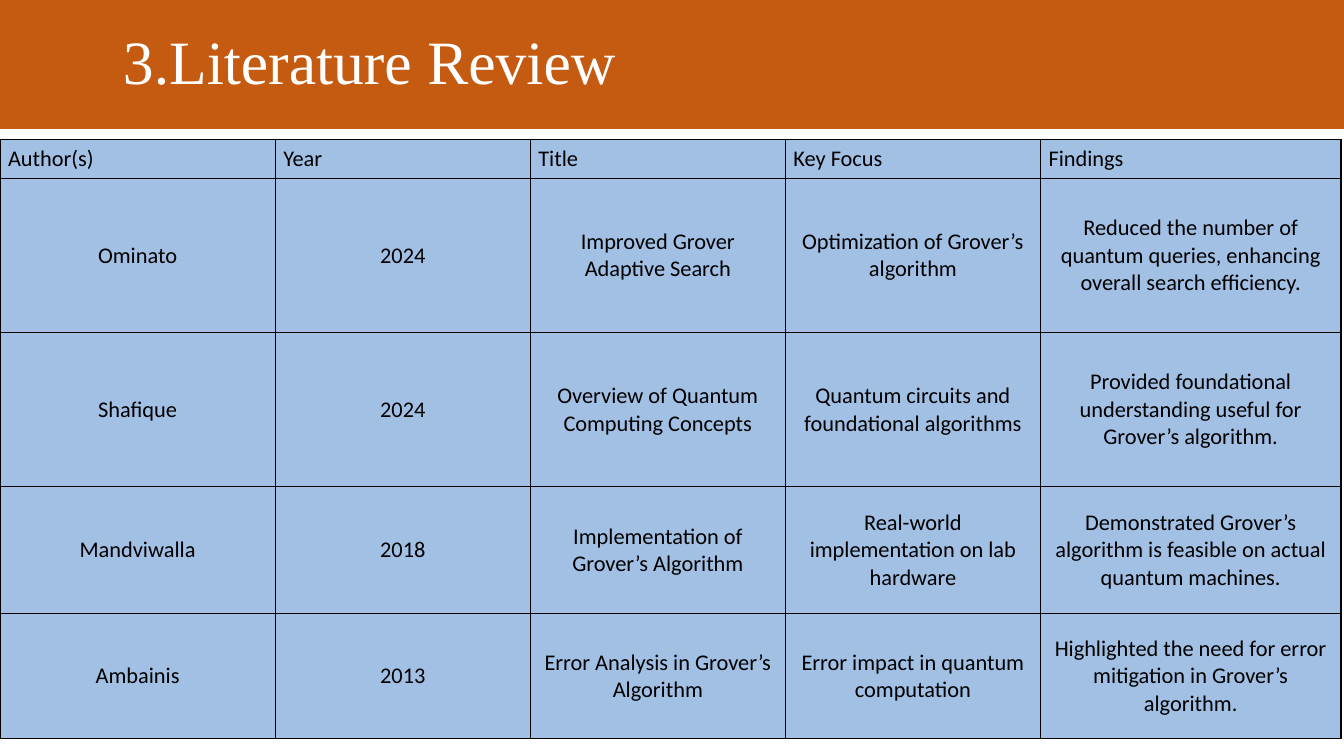
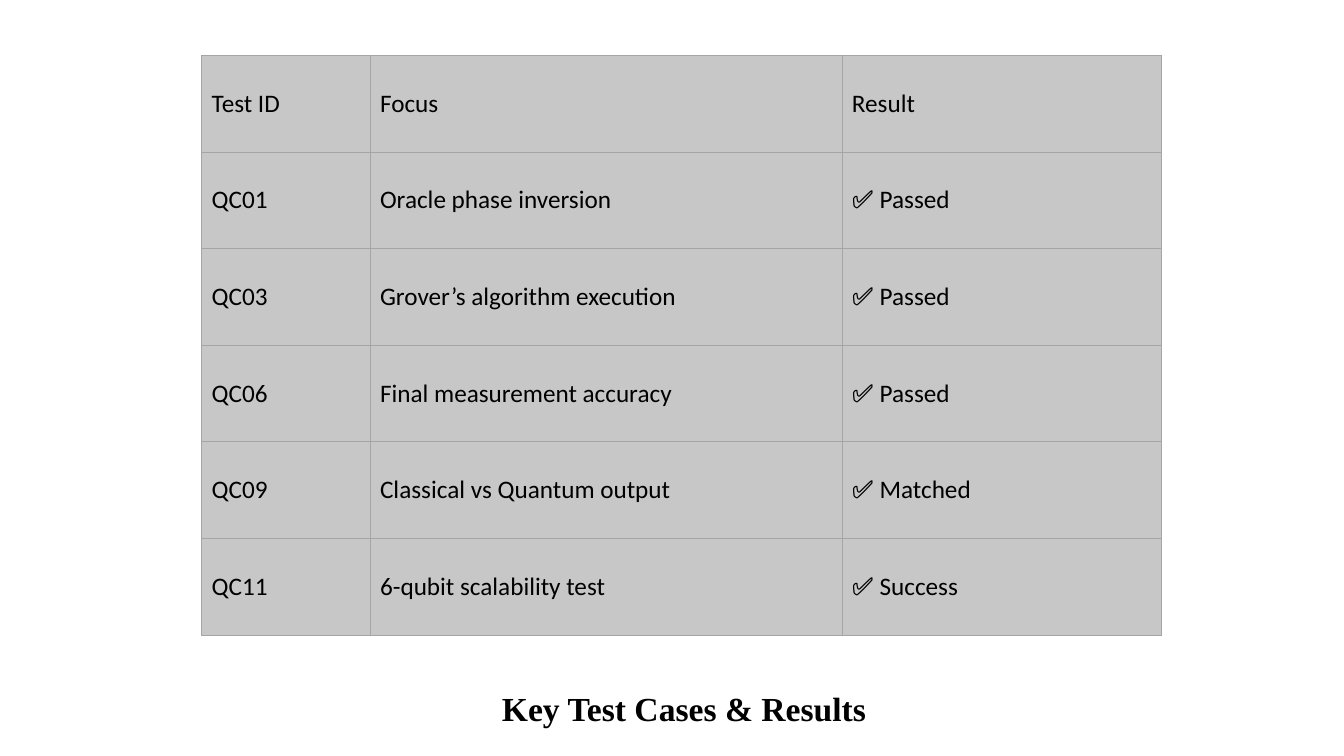
from lxml import etree
from pptx import Presentation
from pptx.dml.color import RGBColor
from pptx.enum.shapes import MSO_SHAPE
from pptx.enum.text import MSO_ANCHOR, PP_ALIGN
from pptx.oxml.ns import qn
from pptx.util import Inches, Pt

RECTANGLE = MSO_SHAPE.RECTANGLE
MIDDLE = MSO_ANCHOR.MIDDLE
LEFT, CENTER = PP_ALIGN.LEFT, PP_ALIGN.CENTER

SLIDE_WIDTH, SLIDE_HEIGHT = 13.33, 7.5
ORANGE, BLUE, GRAY = "C55A11", "A2BFE4", "C7C7C7"
BLACK, WHITE, BORDER_GRAY = "000000", "FFFFFF", "A5A5A5"
TITLE_FONT, BODY_FONT = "Times New Roman", "Calibri"

REVIEW_ROWS = [
    ["Author(s)", "Year", "Title", "Key Focus", "Findings"],
    ["Ominato", "2024", "Improved Grover Adaptive Search",
     "Optimization of Grover’s algorithm",
     "Reduced the number of quantum queries, enhancing overall search efficiency."],
    ["Shafique", "2024", "Overview of Quantum Computing Concepts",
     "Quantum circuits and foundational algorithms",
     "Provided foundational understanding useful for Grover’s algorithm."],
    ["Mandviwalla", "2018", "Implementation of Grover’s Algorithm",
     "Real-world implementation on lab hardware",
     "Demonstrated Grover’s algorithm is feasible on actual quantum machines."],
    ["Ambainis", "2013", "Error Analysis in Grover’s Algorithm",
     "Error impact in quantum computation",
     "Highlighted the need for error mitigation in Grover’s algorithm."],
]
TEST_ROWS = [
    ["Test ID", "Focus", "Result"],
    ["QC01", "Oracle phase inversion", "✅ Passed"],
    ["QC03", "Grover’s algorithm execution", "✅ Passed"],
    ["QC06", "Final measurement accuracy", "✅ Passed"],
    ["QC09", "Classical vs Quantum output", "✅ Matched"],
    ["QC11", "6-qubit scalability test", "✅ Success"],
]


def color(hex_string):
    """Turn a hex string into a colour."""
    return RGBColor.from_string(hex_string)


def add_text(paragraph, text, font_name, size, hex_string, bold=False):
    """Add one formatted run to a paragraph."""
    run = paragraph.add_run()
    run.text = text
    run.font.name = font_name
    run.font.size = Pt(size)
    run.font.bold = bold
    run.font.color.rgb = color(hex_string)


def set_borders(cell, hex_string, width):
    """Draw a solid line on the four sides of a cell."""
    properties = cell._tc.get_or_add_tcPr()
    for index, side in enumerate(("a:lnL", "a:lnR", "a:lnT", "a:lnB")):
        line = etree.Element(qn(side), w=str(Pt(width)))
        fill = etree.SubElement(line, qn("a:solidFill"))
        etree.SubElement(fill, qn("a:srgbClr"), val=hex_string)
        properties.insert(index, line)


def add_grid(slide, box, rows, widths, heights, fill, border, size,
             body_alignment=LEFT, margins=(0.1, 0.05)):
    """Place a one-colour table with a left-aligned header row."""
    frame = slide.shapes.add_table(len(rows), len(widths), *map(Inches, box))
    table = frame.table
    table.horz_banding = False
    for column, width in zip(table.columns, widths):
        column.width = Inches(width)
    for row_index, (values, height) in enumerate(zip(rows, heights)):
        table.rows[row_index].height = Inches(height)
        for column_index, value in enumerate(values):
            cell = table.cell(row_index, column_index)
            cell.fill.solid()
            cell.fill.fore_color.rgb = color(fill)
            set_borders(cell, *border)
            cell.vertical_anchor = MIDDLE
            cell.margin_left = cell.margin_right = Inches(margins[0])
            cell.margin_top = cell.margin_bottom = Inches(margins[1])
            paragraph = cell.text_frame.paragraphs[0]
            paragraph.alignment = body_alignment if row_index else LEFT
            add_text(paragraph, value, BODY_FONT, size, BLACK)


def add_title_band(slide, box, title):
    """Place the full-width band that holds the slide title."""
    shape = slide.shapes.add_shape(RECTANGLE, *map(Inches, box))
    shape.shadow.inherit = False
    shape.fill.solid()
    shape.fill.fore_color.rgb = color(ORANGE)
    shape.line.fill.background()
    text_frame = shape.text_frame
    text_frame.word_wrap = True
    text_frame.vertical_anchor = MIDDLE
    text_frame.margin_left = Inches(1.22)
    paragraph = text_frame.paragraphs[0]
    paragraph.alignment = LEFT
    paragraph.line_spacing = 0.9
    add_text(paragraph, title, TITLE_FONT, 44, WHITE)


def add_caption(slide, box, caption):
    """Place a bold caption on one line."""
    shape = slide.shapes.add_textbox(*map(Inches, box))
    shape.text_frame.word_wrap = False
    add_text(shape.text_frame.paragraphs[0], caption, TITLE_FONT, 24, BLACK, True)


def build_review_slide(slide):
    """Build the literature review slide."""
    add_title_band(slide, (0, 0, SLIDE_WIDTH, 1.28), "3.Literature Review")
    add_grid(slide, (0, 1.38, 13.3, 5.95), REVIEW_ROWS,
             [2.73, 2.53, 2.53, 2.53, 2.98], [0.39, 1.53, 1.53, 1.26, 1.24],
             BLUE, (BLACK, 1), 16, CENTER, (0.08, 0.04))


def build_test_slide(slide):
    """Build the test results slide."""
    add_grid(slide, (2, 0.55, 9.52, 5.75), TEST_ROWS, [1.67, 4.68, 3.17],
             [5.75 / len(TEST_ROWS)] * len(TEST_ROWS),
             GRAY, (BORDER_GRAY, 0.5), 18)
    add_caption(slide, (4.88, 6.78, 3.85, 0.5), "Key Test Cases & Results")


def main():
    """Build and save the presentation."""
    presentation = Presentation()
    presentation.slide_width = Inches(SLIDE_WIDTH)
    presentation.slide_height = Inches(SLIDE_HEIGHT)
    blank_layout = presentation.slide_layouts[6]
    for build in (build_review_slide, build_test_slide):
        build(presentation.slides.add_slide(blank_layout))
    presentation.save("out.pptx")


if __name__ == "__main__":
    main()
